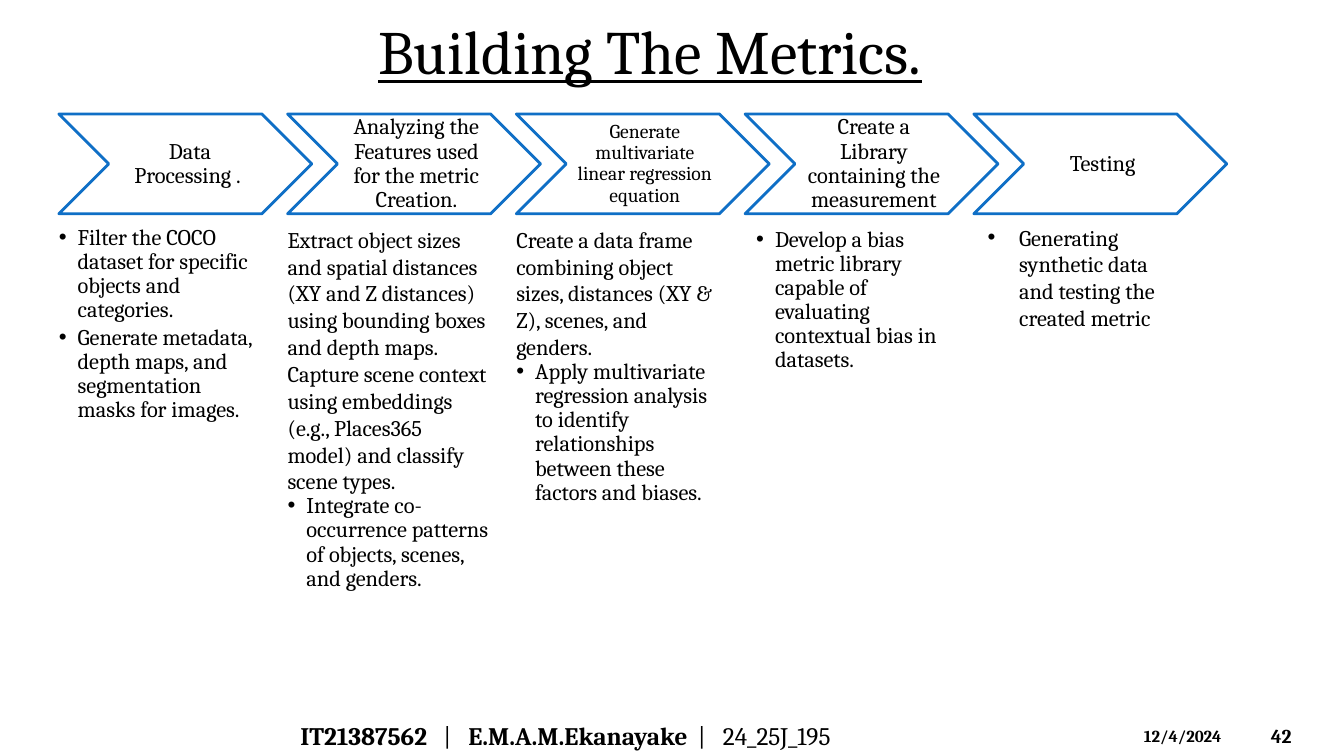
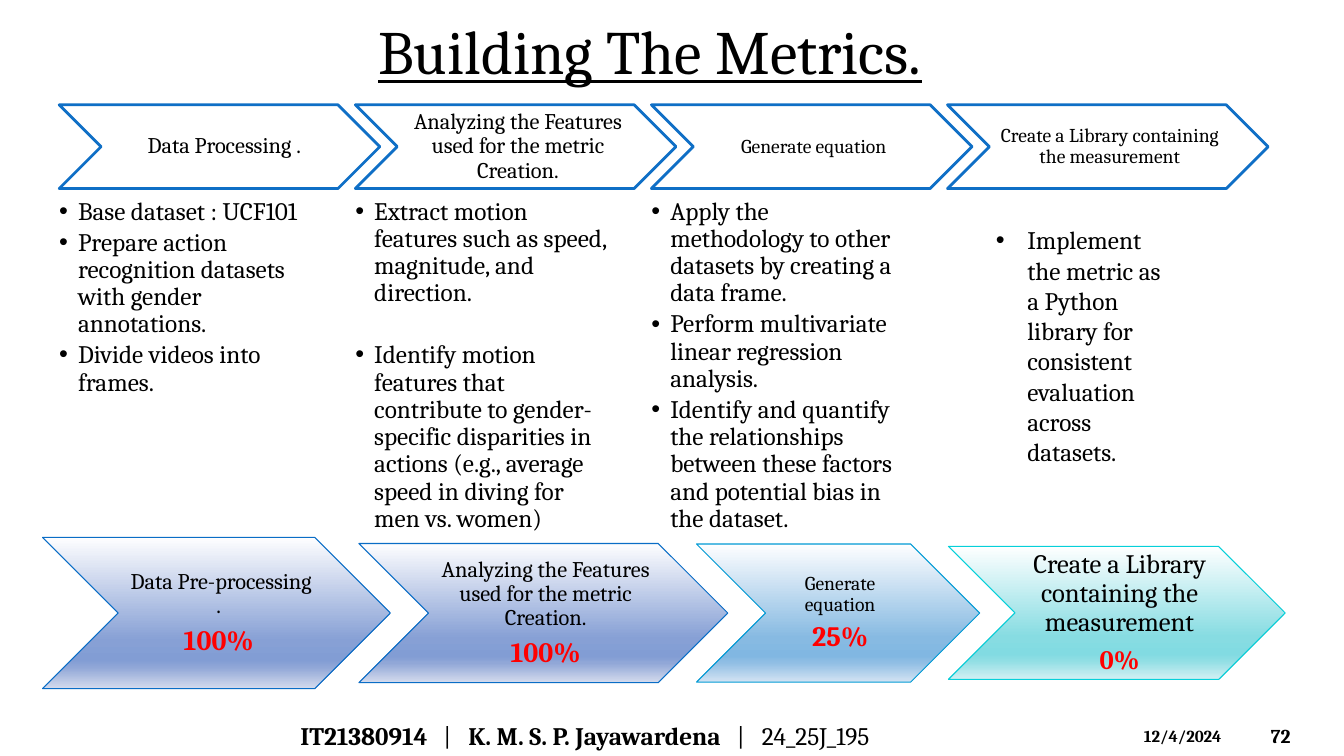
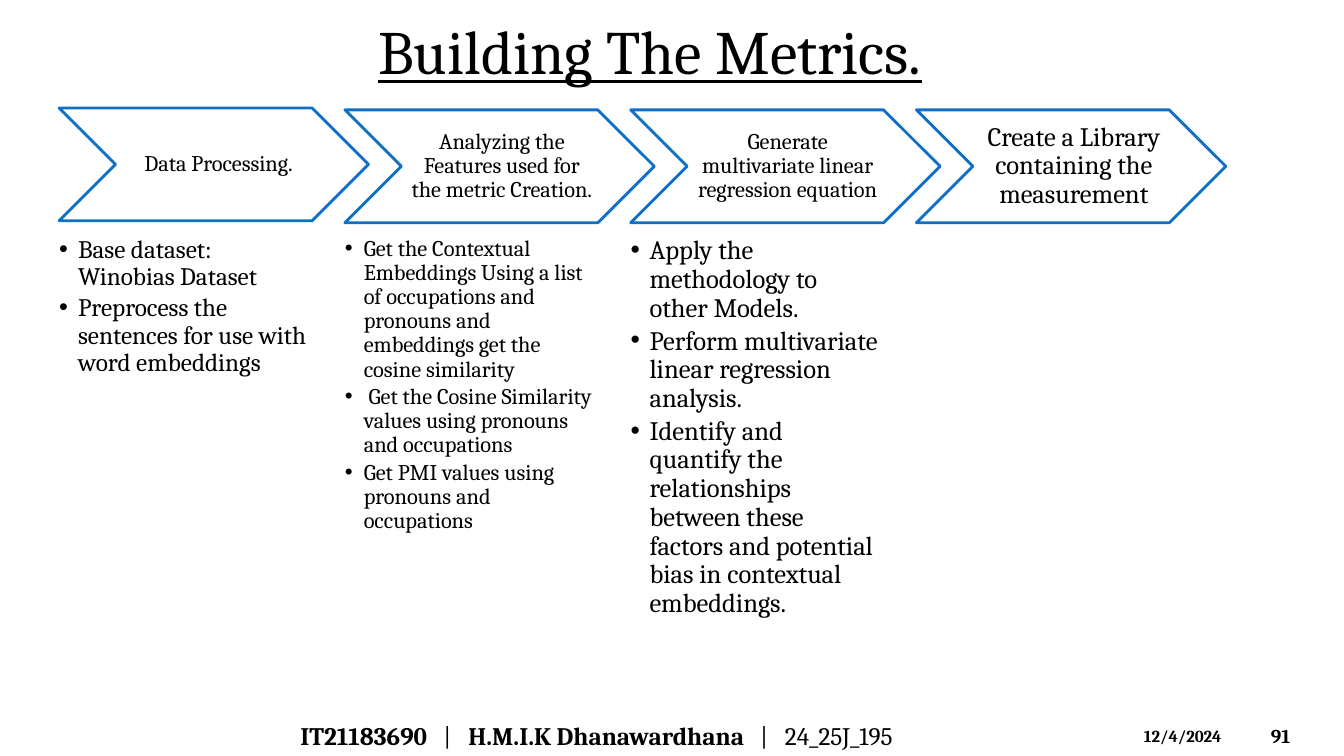
from dataclasses import dataclass
from typing import Optional

from lxml.etree import SubElement
from pptx import Presentation
from pptx.dml.color import RGBColor
from pptx.enum.shapes import MSO_SHAPE
from pptx.enum.text import MSO_ANCHOR, PP_ALIGN
from pptx.oxml.ns import qn
from pptx.util import Pt

FONT = "Cambria"
COLORS = {
    "text": "000000",
    "paper": "FFFFFF",
    "outline": "0F6FC6",
    "percent": "FF0000",
    "navy": "0A6DC6",
    "sky": "009AD4",
    "aqua": "06D0D9",
}
GRADIENT_STOPS = (0, 68, 81, 86, 100)
GRADIENTS = {
    "navy": ("FEFEFF", "87A0D5", "829DD4", "91A7D7", "D4DBED"),
    "sky": ("FEFEFF", "87BAE2", "81B7E2", "90BEE4", "D3E3F3"),
    "aqua": ("FEFFFF", "87DCE2", "82DBE2", "90DEE4", "D3F0F3"),
}
TITLE = "Building The Metrics."
DATE = "12/4/2024"
PROJECT = "24_25J_195"
ANALYZING = "Analyzing the Features used for the metric Creation."
LIBRARY = "Create a Library containing the measurement"
TIGHT = 0.9


@dataclass(frozen=True)
class Box:
    left: float
    top: float
    width: float
    height: float

    def lengths(self):
        return Pt(self.left), Pt(self.top), Pt(self.width), Pt(self.height)


@dataclass(frozen=True)
class Task:
    text: str
    bulleted: bool = True
    gap: Optional[float] = None


@dataclass(frozen=True)
class Step:
    label: str
    size: float = 16
    tasks: tuple[Task, ...] = ()
    task_size: float = 16
    lift: float = 0
    task_shift: tuple[float, float] = (0, 0)


@dataclass(frozen=True)
class Track:
    first: Box
    pitch: float
    tasks_top: float
    tasks_width: float
    tasks_height: float
    steps: tuple[Step, ...]


@dataclass(frozen=True)
class Aside:
    box: Box
    text: str
    size: float


@dataclass(frozen=True)
class Progress:
    box: Box
    label: str
    size: float
    percent: str
    percent_size: float
    tint: str


@dataclass(frozen=True)
class Page:
    number: str
    student: str
    name: str
    second_bar: float
    track: Track
    aside: Optional[Aside] = None
    progress: tuple[Progress, ...] = ()


def add_run(paragraph, text: str, size: float, color: str = "text", **extra) -> None:
    run = paragraph.add_run()
    run.text = text
    for key, value in {"name": FONT, "size": Pt(size), **extra}.items():
        setattr(run.font, key, value)
    run.font.color.rgb = RGBColor.from_string(COLORS[color])


def add_text_frame(slide, box: Box, anchor=MSO_ANCHOR.TOP):
    frame = slide.shapes.add_textbox(*box.lengths()).text_frame
    frame.word_wrap = True
    frame.vertical_anchor = anchor
    return frame


def set_margins(frame, left: float, others: float) -> None:
    frame.margin_left = Pt(left)
    frame.margin_top = frame.margin_right = frame.margin_bottom = Pt(others)


def next_paragraph(frame, index: int):
    return frame.add_paragraph() if index else frame.paragraphs[0]


def add_bullet(paragraph, hang: float) -> None:
    properties = paragraph._p.get_or_add_pPr()
    properties.set("marL", str(Pt(hang)))
    properties.set("indent", str(-Pt(hang)))
    SubElement(properties, qn("a:buFont"), typeface="Arial")
    SubElement(properties, qn("a:buChar"), char="•")


def add_tabs(paragraph, stops: list[tuple[float, str]]) -> None:
    tabs = SubElement(paragraph._p.get_or_add_pPr(), qn("a:tabLst"))
    for position, alignment in stops:
        SubElement(tabs, qn("a:tab"), pos=str(Pt(position)), algn=alignment)


def paint_gradient(shape, colors: tuple[str, ...]) -> None:
    shape.fill.gradient()
    shape.fill.gradient_angle = 270
    stops = shape._element.spPr.find(qn("a:gradFill")).find(qn("a:gsLst"))
    for stop in list(stops):
        stops.remove(stop)
    for percent, color in zip(GRADIENT_STOPS, colors):
        stop = SubElement(stops, qn("a:gs"), pos=str(percent * 1000))
        SubElement(stop, qn("a:srgbClr"), val=color)


def add_chevron(slide, box: Box, label: str, size: float, line: str, weight: float):
    chevron = slide.shapes.add_shape(MSO_SHAPE.CHEVRON, *box.lengths())
    chevron.shadow.inherit = False
    chevron.fill.solid()
    chevron.fill.fore_color.rgb = RGBColor.from_string(COLORS["paper"])
    chevron.line.color.rgb = RGBColor.from_string(COLORS[line])
    chevron.line.width = Pt(weight)
    frame = chevron.text_frame
    frame.word_wrap = True
    frame.vertical_anchor = MSO_ANCHOR.MIDDLE
    set_margins(frame, 0.315 * size, 0.105 * size)
    caption = frame.paragraphs[0]
    caption.alignment = PP_ALIGN.CENTER
    caption.line_spacing = TIGHT
    add_run(caption, label, size)
    return chevron


def add_tasks(slide, box: Box, tasks: tuple[Task, ...], size: float) -> None:
    frame = add_text_frame(slide, box)
    set_margins(frame, 0, 0)
    for index, task in enumerate(tasks):
        paragraph = next_paragraph(frame, index)
        if task.bulleted:
            add_bullet(paragraph, 13.5)
        paragraph.line_spacing = TIGHT if task.bulleted else 1.0
        gap = 0.15 * size if task.gap is None else task.gap
        paragraph.space_after = Pt(gap)
        add_run(paragraph, task.text, size)


def add_track(slide, track: Track) -> None:
    first = track.first
    for index, step in enumerate(track.steps):
        left = first.left + index * track.pitch
        box = Box(left, first.top - step.lift, first.width, first.height)
        add_chevron(slide, box, step.label, step.size, "outline", 2)
        if step.tasks:
            right, down = step.task_shift
            tasks_box = Box(left + right, track.tasks_top + down,
                            track.tasks_width, track.tasks_height)
            add_tasks(slide, tasks_box, step.tasks, step.task_size)


def add_progress(slide, progress: Progress) -> None:
    chevron = add_chevron(slide, progress.box, progress.label, progress.size,
                          progress.tint, 0.75)
    paint_gradient(chevron, GRADIENTS[progress.tint])
    frame = chevron.text_frame
    frame.paragraphs[0].space_after = Pt(0.35 * progress.size)
    share = frame.add_paragraph()
    share.alignment = PP_ALIGN.CENTER
    share.line_spacing = TIGHT
    add_run(share, progress.percent, progress.percent_size, "percent", bold=True)


def add_aside(slide, aside: Aside) -> None:
    paragraph = add_text_frame(slide, aside.box).paragraphs[0]
    add_bullet(paragraph, 22.5)
    add_run(paragraph, aside.text, aside.size)


def add_frame(slide, page: Page) -> None:
    title = add_text_frame(slide, Box(263, 6, 435, 60))
    add_run(title.paragraphs[0], TITLE, 44, underline=True)
    number = add_text_frame(slide, Box(900.7, 511.2, 53.3, 28.8), MSO_ANCHOR.MIDDLE)
    add_run(number.paragraphs[0], page.number, 14, bold=True)
    date = add_text_frame(slide, Box(810, 514.8, 84.2, 21.6))
    add_run(date.paragraphs[0], DATE, 12, bold=True)
    footer = add_text_frame(slide, Box(207.4, 511.2, 536.4, 28.8), MSO_ANCHOR.MIDDLE)
    author = footer.paragraphs[0]
    add_tabs(author, [stop for bar in (105, page.second_bar)
                      for stop in ((bar, "ctr"), (bar + 15, "l"))])
    for text, bold in ((page.student, True), ("\t|\t", False),
                       (page.name, True), (f"\t|\t{PROJECT}", False)):
        add_run(author, text, 18, bold=bold)


PAGES = (
    Page("42", "IT21387562", "E.M.A.M.Ekanayake", 286.9, Track(
        Box(42, 81.4, 180.7, 71.3), 163.4, 161.3, 144, 297.4, (
            Step(" Data Processing .", tasks=(
                Task("Filter the COCO dataset for specific objects and categories."),
                Task("Generate metadata, depth maps, and segmentation masks for images."),
            )),
            Step(ANALYZING, tasks=(
                Task("Extract object sizes and spatial distances (XY and Z distances) "
                     "using bounding boxes and depth maps.", False, 0),
                Task("Capture scene context using embeddings (e.g., Places365 model) "
                     "and classify scene types.", False, 0),
                Task("Integrate co-occurrence patterns of objects, scenes, and genders."),
            )),
            Step("Generate multivariate linear regression equation", 14, (
                Task("Create a data frame combining object sizes, distances (XY & Z), "
                     "scenes, and genders.", False, 0),
                Task("Apply multivariate regression analysis to identify relationships "
                     "between these factors and biases."),
            )),
            Step(LIBRARY, tasks=(
                Task("Develop a bias metric library capable of evaluating contextual "
                     "bias in datasets."),
            ), task_shift=(7.9, 1.4)),
            Step("Testing"),
        )),
        Aside(Box(698.4, 156.2, 144, 85),
              "Generating synthetic data and testing the created metric", 16)),
    Page("72", "IT21380914", "K. M. S. P. Jayawardena", 314.7, Track(
        Box(42.3, 74.9, 229, 59.8), 211.5, 141.8, 182.9, 257.8, (
            Step(" Data Processing .", task_size=18, tasks=(
                Task("Base dataset : UCF101"),
                Task("Prepare action recognition datasets with gender annotations."),
                Task("Divide videos into frames."),
            )),
            Step(ANALYZING, task_size=18, tasks=(
                Task("Extract motion features such as speed, magnitude, and direction.",
                     gap=24.8),
                Task("Identify motion features that contribute to gender-specific "
                     "disparities in actions (e.g., average speed in diving for men "
                     "vs. women)"),
            )),
            Step("Generate equation", 14, task_size=18, tasks=(
                Task("Apply the methodology to other datasets by creating a data frame."),
                Task("Perform multivariate linear regression analysis."),
                Task("Identify and quantify the relationships between these factors "
                     "and potential bias in the dataset."),
            )),
            Step(LIBRARY, 14),
        )),
        Aside(Box(704.2, 157, 144, 181.4),
              "Implement the metric as a Python library for consistent evaluation "
              "across datasets.", 18),
        (
            Progress(Box(30.4, 383.9, 248.4, 108), " Data Pre-processing .", 16,
                     "100%", 20, "navy"),
            Progress(Box(256.4, 388.2, 263.5, 99.4), ANALYZING, 16, "100%", 20, "navy"),
            Progress(Box(497.5, 388.6, 202.3, 98.6), "Generate equation", 14,
                     "25%", 20, "sky"),
            Progress(Box(677.5, 390.3, 240.5, 95), LIBRARY, 19, "0%", 19, "aqua"),
        )),
    Page("91", "IT21183690", "H.M.I.K Dhanawardhana", 331.2, Track(
        Box(42.3, 78.5, 221, 80.6), 204.1, 169.2, 177.1, 292.3, (
            Step(" Data Processing.", task_size=18, lift=1.4, tasks=(
                Task("Base dataset: Winobias Dataset"),
                Task("Preprocess the sentences for use with word embeddings"),
            )),
            Step(ANALYZING, tasks=(
                Task("Get the Contextual Embeddings Using a list of occupations and "
                     "pronouns and embeddings get the cosine similarity"),
                Task(" Get the Cosine Similarity values using pronouns and occupations"),
                Task("Get PMI values using pronouns and occupations"),
            )),
            Step("Generate multivariate linear regression equation", task_size=19, tasks=(
                Task("Apply the methodology to other Models."),
                Task("Perform multivariate linear regression analysis."),
                Task("Identify and quantify the relationships between these factors "
                     "and potential bias in contextual embeddings."),
            )),
            Step(LIBRARY, 19),
        ))),
)


def main() -> None:
    deck = Presentation()
    deck.slide_width, deck.slide_height = Pt(960), Pt(540)
    for page in PAGES:
        slide = deck.slides.add_slide(deck.slide_layouts[6])
        add_frame(slide, page)
        add_track(slide, page.track)
        if page.aside:
            add_aside(slide, page.aside)
        for progress in page.progress:
            add_progress(slide, progress)
    deck.save("out.pptx")


if __name__ == "__main__":
    main()
